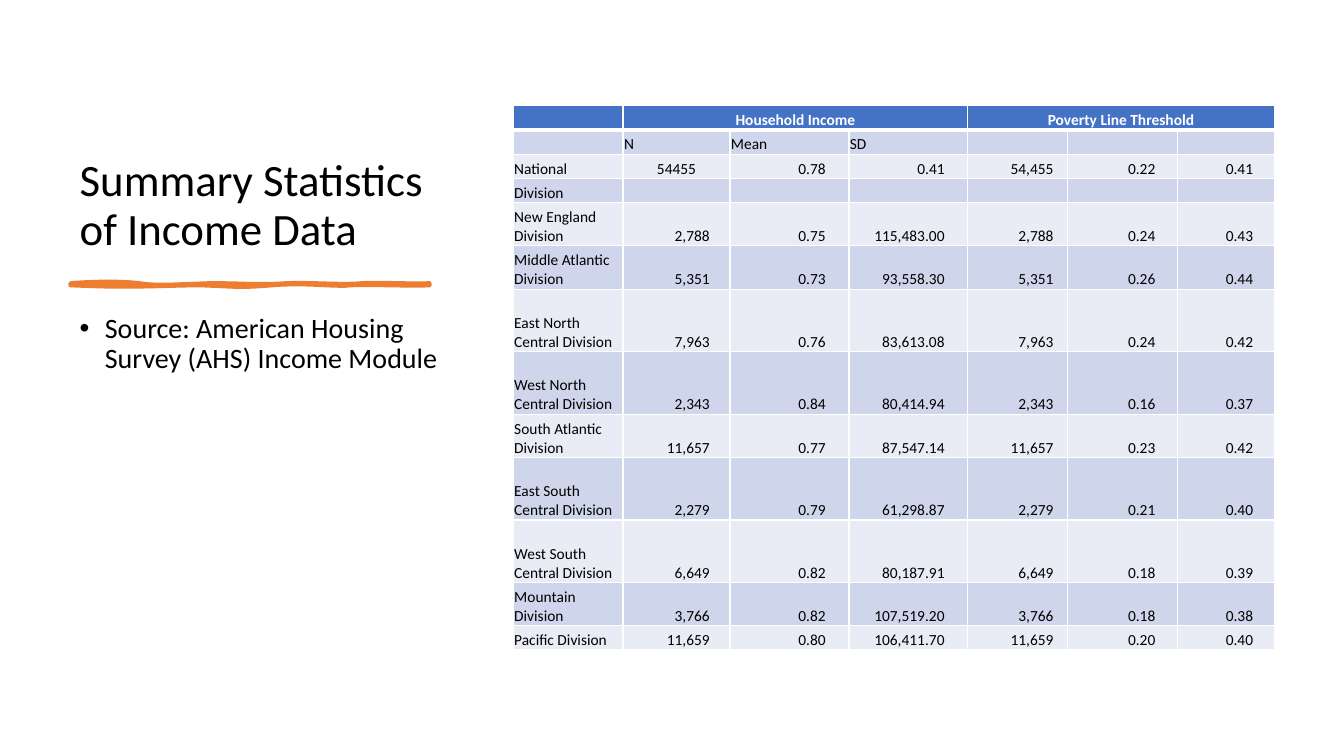
import pptx
import pptx.util
import pptx.dml.color
import pptx.enum.text
import pptx.oxml.ns
import lxml.etree

TITLE = "Summary Statistics of Income Data"
SOURCE = "Source: American Housing Survey (AHS) Income Module"
ROWS = [
    ("", "Household Income", "", "", "Poverty Line Threshold", "", ""),
    ("", "N", "Mean", "SD", "", "", ""),
    ("National", "54455", "0.78", "0.41", "54,455", "0.22", "0.41"),
    ("Division", "", "", "", "", "", ""),
    ("New England Division", "2,788", "0.75", "115,483.00", "2,788", "0.24", "0.43"),
    ("Middle Atlantic Division", "5,351", "0.73", "93,558.30", "5,351", "0.26", "0.44"),
    ("East North Central Division", "7,963", "0.76", "83,613.08", "7,963", "0.24", "0.42"),
    ("West North Central Division", "2,343", "0.84", "80,414.94", "2,343", "0.16", "0.37"),
    ("South Atlantic Division", "11,657", "0.77", "87,547.14", "11,657", "0.23", "0.42"),
    ("East South Central Division", "2,279", "0.79", "61,298.87", "2,279", "0.21", "0.40"),
    ("West South Central Division", "6,649", "0.82", "80,187.91", "6,649", "0.18", "0.39"),
    ("Mountain Division", "3,766", "0.82", "107,519.20", "3,766", "0.18", "0.38"),
    ("Pacific Division", "11,659", "0.80", "106,411.70", "11,659", "0.20", "0.40"),
]
COL_WIDTHS = [1.09, 1.06, 1.18, 1.18, 0.99, 1.09, 0.96]
NUMBER_INSETS = [0.01, 0.2, 0.23, 0.23, 0.14, 0.22, 0.21]
ROW_HEIGHTS = [0.24] * 4 + [0.43, 0.43, 0.62, 0.62, 0.43, 0.62, 0.62, 0.43, 0.24]
STROKE_START = (0.7, 2.81)
STROKE_CURVES = [
    ((0.97, 2.79), (1.21, 2.79), (1.38, 2.81)),
    ((1.55, 2.84), (1.77, 2.82), (2.09, 2.81)),
    ((2.41, 2.81), (2.6, 2.83), (2.84, 2.81)),
    ((3.08, 2.8), (3.39, 2.83), (3.59, 2.81)),
    ((3.79, 2.8), (4.12, 2.82), (4.26, 2.81)),
    ((4.26, 2.82), (4.26, 2.83), (4.26, 2.83)),
    ((4.08, 2.84), (3.64, 2.82), (3.48, 2.83)),
    ((3.32, 2.85), (3.04, 2.8), (2.7, 2.83)),
    ((2.35, 2.86), (2.31, 2.84), (1.99, 2.83)),
    ((1.66, 2.83), (1.32, 2.86), (0.7, 2.83)),
]
BLACK, WHITE, BLUE, ORANGE = "000000", "FFFFFF", "4472C4", "ED7D31"
BANDS = ["E9EBF5", "CFD5EA"]
Inches, Pt = pptx.util.Inches, pptx.util.Pt
ALIGN = pptx.enum.text.PP_ALIGN
ANCHOR = pptx.enum.text.MSO_ANCHOR


def rgb(color):
    """Turn a hex string into a colour."""
    return pptx.dml.color.RGBColor.from_string(color)


def style(p, size, color, bold=False):
    """Format every run of a paragraph."""
    for r in p.runs:
        r.font.name, r.font.size, r.font.bold = "Calibri", Pt(size), bold
        r.font.color.rgb = rgb(color)


def fill_placeholder(sp, box, text, size, anchor):
    """Move a placeholder and set its text."""
    sp.left, sp.top, sp.width, sp.height = map(Inches, box)
    tf = sp.text_frame
    tf.text = text
    tf.word_wrap, tf.vertical_anchor = True, anchor
    tf.auto_size = pptx.enum.text.MSO_AUTO_SIZE.NONE
    p = tf.paragraphs[0]
    p.alignment, p.line_spacing = ALIGN.LEFT, 0.9
    style(p, size, BLACK)
    return p


def curve_points(start, curves, steps=10):
    """Sample a chain of cubic curves, in EMU."""
    points = []
    for c1, c2, end in curves:
        for i in range(1, steps + 1):
            t = i / steps
            u = 1 - t
            points.append(tuple(
                Inches(u**3 * a + 3 * u * u * t * b + 3 * u * t * t * c + t**3 * d)
                for a, b, c, d in zip(start, c1, c2, end)))
        start = end
    return points


def add_borders(cell, bottom):
    """Draw white borders around a cell."""
    tcPr = cell._tc.get_or_add_tcPr()
    for i, (side, width) in enumerate([("L", 1), ("R", 1), ("T", 1), ("B", bottom)]):
        ln = lxml.etree.Element(pptx.oxml.ns.qn("a:ln" + side), w=str(Pt(width)))
        solid = lxml.etree.SubElement(ln, pptx.oxml.ns.qn("a:solidFill"))
        lxml.etree.SubElement(solid, pptx.oxml.ns.qn("a:srgbClr"), val=WHITE)
        tcPr.insert(i, ln)


def fill_cell(cell, row, col, text):
    """Fill and format one table cell."""
    header = row == 0
    number = row > 1 and col > 0
    centred = header or text == "54455"
    cell.fill.solid()
    cell.fill.fore_color.rgb = rgb(BLUE if header else BANDS[row % 2])
    cell.vertical_anchor = ANCHOR.BOTTOM
    cell.margin_left = cell.margin_top = Inches(0.01)
    cell.margin_right = Inches(NUMBER_INSETS[col] if number and not centred else 0.01)
    cell.margin_bottom = 0
    cell.text = text
    p = cell.text_frame.paragraphs[0]
    p.alignment = ALIGN.CENTER if centred else ALIGN.RIGHT if number else ALIGN.LEFT
    style(p, 11, WHITE if header else BLACK, header)
    if not text:
        end = lxml.etree.SubElement(p._p, pptx.oxml.ns.qn("a:endParaRPr"))
        end.set("sz", "1100")
    add_borders(cell, 3 if header else 1)


prs = pptx.Presentation()
prs.slide_width, prs.slide_height = Inches(13.33), Inches(7.5)
s = prs.slides.add_slide(prs.slide_layouts[1])

fill_placeholder(s.shapes.title, (0.69, 0.7, 3.75, 1.88), TITLE, 32, ANCHOR.BOTTOM)
p = fill_placeholder(s.placeholders[1], (0.69, 3.07, 3.75, 3.73), SOURCE, 20, ANCHOR.TOP)
p.space_before = Pt(10)
pPr = p._p.get_or_add_pPr()
pPr.set("marL", str(Inches(0.25)))
pPr.set("indent", str(-Inches(0.25)))
lxml.etree.SubElement(pPr, pptx.oxml.ns.qn("a:buFont"), typeface="Arial")
lxml.etree.SubElement(pPr, pptx.oxml.ns.qn("a:buChar"), char="•")

builder = s.shapes.build_freeform(*map(Inches, STROKE_START))
builder.add_line_segments(curve_points(STROKE_START, STROKE_CURVES), close=True)
stroke = builder.convert_to_shape()
stroke.shadow.inherit = False
stroke.fill.solid()
stroke.fill.fore_color.rgb = stroke.line.color.rgb = rgb(ORANGE)
stroke.line.width = Pt(3)
lxml.etree.SubElement(stroke.line._get_or_add_ln(), pptx.oxml.ns.qn("a:round"))

table = s.shapes.add_table(
    len(ROWS), len(COL_WIDTHS), Inches(5.09), Inches(1.05),
    Inches(sum(COL_WIDTHS)), Inches(sum(ROW_HEIGHTS))).table
for column, width in zip(table.columns, COL_WIDTHS):
    column.width = Inches(width)
for row, height in zip(table.rows, ROW_HEIGHTS):
    row.height = Inches(height)
for i, values in enumerate(ROWS):
    for j, text in enumerate(values):
        fill_cell(table.cell(i, j), i, j, text)
for first in (1, 4):
    table.cell(0, first).merge(table.cell(0, first + 2))

prs.save("out.pptx")
